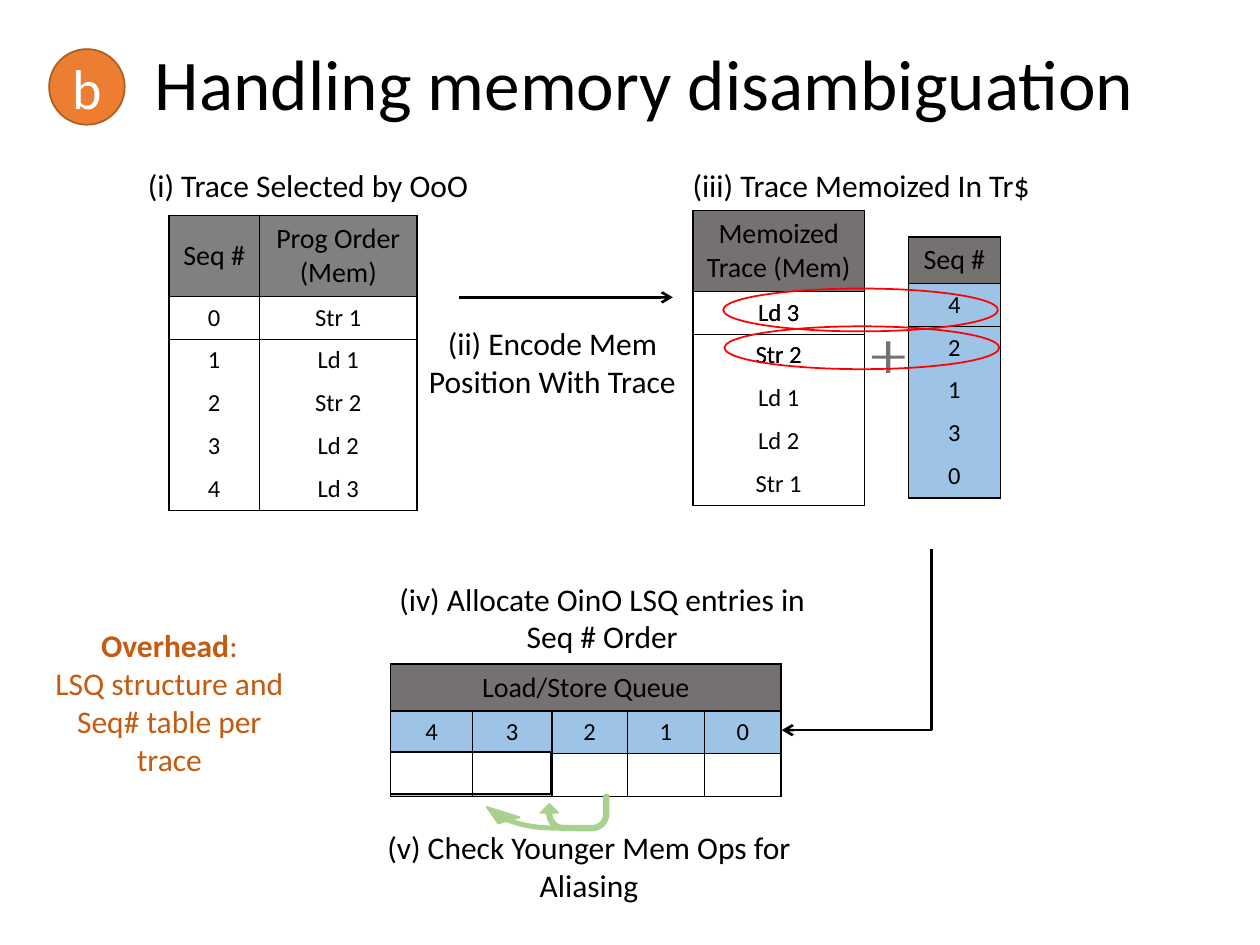
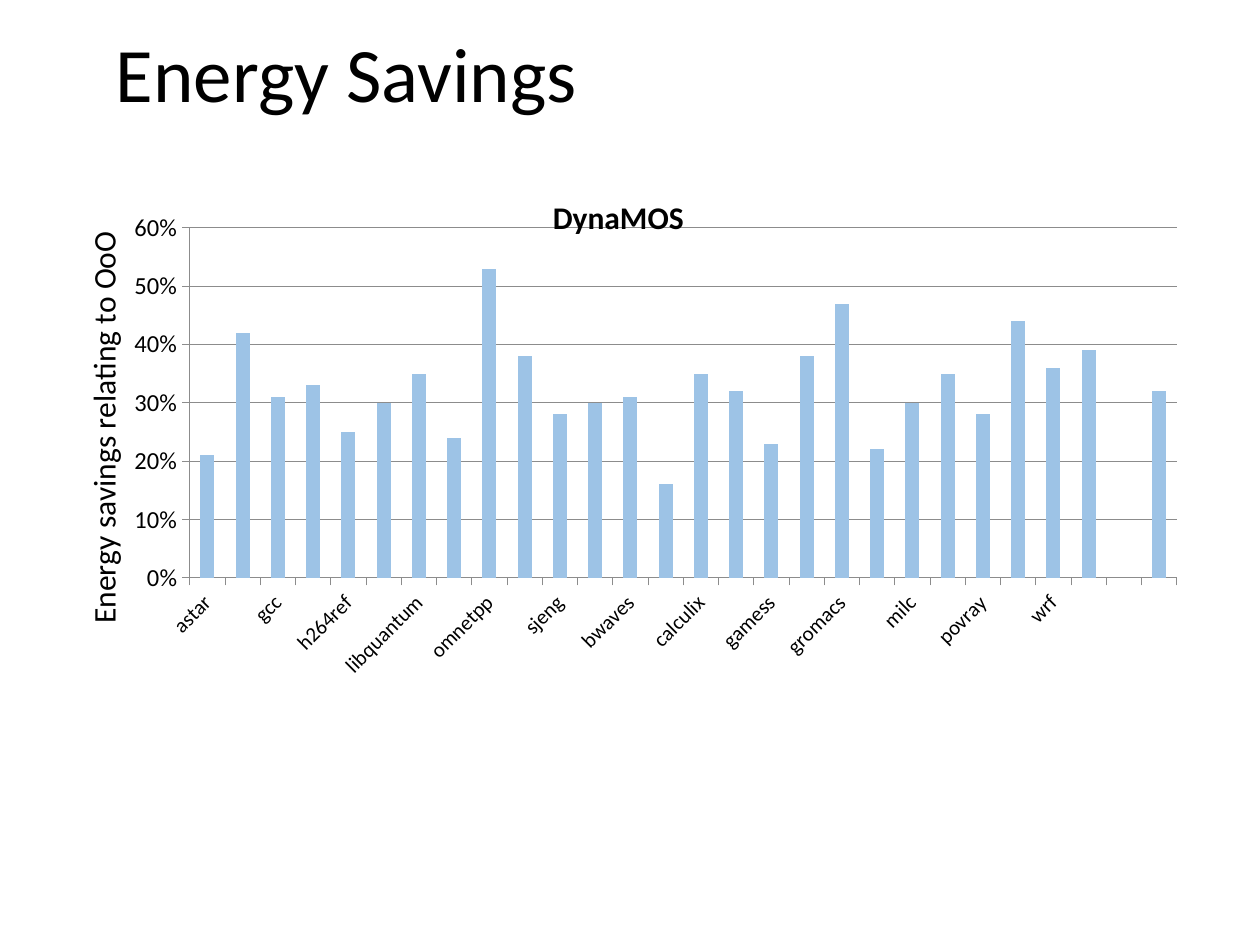
from lxml import etree
from pptx import Presentation
from pptx.chart.data import CategoryChartData
from pptx.dml.color import RGBColor
from pptx.enum.chart import XL_CHART_TYPE, XL_TICK_MARK
from pptx.enum.shapes import MSO_CONNECTOR, MSO_SHAPE
from pptx.enum.text import MSO_ANCHOR, MSO_AUTO_SIZE, PP_ALIGN
from pptx.oxml.ns import qn
from pptx.util import Inches, Pt

LEFT, CENTER = PP_ALIGN.LEFT, PP_ALIGN.CENTER
TOP, MIDDLE = MSO_ANCHOR.TOP, MSO_ANCHOR.MIDDLE
ELLIPSE, RECTANGLE = MSO_SHAPE.OVAL, MSO_SHAPE.RECTANGLE
OUTSIDE = XL_TICK_MARK.OUTSIDE

FONT = "Calibri"
BLACK, WHITE, RED = "000000", "FFFFFF", "FF0000"
GRAY, WARM_GRAY, AXIS_GRAY = "808080", "767171", "8C8C8C"
BLUE, GREEN = "9DC3E6", "A9D18E"
ORANGE, ORANGE_EDGE, ORANGE_TEXT = "ED7D31", "AF5C24", "C55A11"
NO_STYLE = "{2D5ABB26-0587-4C30-8999-92F81FD0307C}"
BODY_ROW = 0.34

# Content: trace tables as (left, top, header height, widths, header fill, body fill, rows)
TRACE_TABLES = [
    (1.34, 1.71, 0.64, [0.72, 1.25], GRAY, None,
     [["Seq #", "Prog Order\n(Mem)"], ["0", "Str 1"], ["1", "Ld 1"],
      ["2", "Str 2"], ["3", "Ld 2"], ["4", "Ld 3"]]),
    (5.5, 1.67, 0.64, [1.36], WARM_GRAY, None,
     [["Memoized Trace (Mem)"], ["Ld 3"], ["Str 2"], ["Ld 1"], ["Ld 2"], ["Str 1"]]),
    (7.21, 1.88, 0.37, [0.73], WARM_GRAY, BLUE,
     [["Seq #"], ["4"], ["2"], ["1"], ["3"], ["0"]]),
]
QUEUE_WIDTHS = [0.65, 0.63, 0.6, 0.61, 0.61]
QUEUE_ROWS = [["Load/Store Queue", "", "", "", ""], ["4", "3", "2", "1", "0"], [""] * 5]

STEP_LABELS = [
    ((0.96, 1.27, 2.97, 0.4), "(i) Trace Selected by OoO"),
    ((3.27, 2.52, 2.23, 0.71), "(ii) Encode Mem Position With Trace"),
    ((5.24, 1.27, 3.19, 0.4), "(iii) Trace Memoized In Tr$"),
    ((2.72, 4.55, 4.12, 0.71), "(iv) Allocate OinO LSQ entries in\nSeq # Order"),
    ((2.83, 6.52, 3.69, 0.71), "(v) Check Younger Mem Ops for Aliasing"),
]
REORDERED = [((5.92, 2.31, 0.53, 0.34), "Ld 3"), ((5.9, 2.64, 0.57, 0.34), "Str 2")]
HIGHLIGHTS = [(5.74, 2.29, 2.18, 0.34), (5.75, 2.59, 2.18, 0.34)]
QUEUE_COVERS = [(3.75, 5.97, 0.62, 0.33), (3.1, 5.97, 0.65, 0.33)]

SAVINGS = [
    ("astar", 0.21), ("bzip2", 0.42), ("gcc", 0.31), ("gobmk", 0.33),
    ("h264ref", 0.25), ("hmmer", 0.3), ("libquantum", 0.35), ("mcf", 0.24),
    ("omnetpp", 0.53), ("perlbench", 0.38), ("sjeng", 0.28), ("xalancbmk", 0.3),
    ("bwaves", 0.31), ("cactusADM", 0.16), ("calculix", 0.35), ("dealII", 0.32),
    ("gamess", 0.23), ("GemsFDTD", 0.38), ("gromacs", 0.47), ("leslie3d", 0.22),
    ("milc", 0.3), ("namd", 0.35), ("povray", 0.28), ("tonto", 0.44),
    ("wrf", 0.36), ("zeusmp", 0.39), ("", None), ("average", 0.32),
]


# Shared helpers
def color(value):
    return RGBColor.from_string(value)


def inches(values):
    return [Inches(value) for value in values]


def format_font(font, size, text_color=BLACK, bold=False):
    font.name, font.size, font.bold = FONT, Pt(size), bold
    font.color.rgb = color(text_color)


def write(frame, text, size=18, text_color=BLACK, align=CENTER, anchor=TOP,
          wrap=True, bold_start=""):
    """Write one paragraph per line; bold_start opens the first one in bold."""
    frame.word_wrap, frame.vertical_anchor = wrap, anchor
    for number, line in enumerate(text.split("\n")):
        paragraph = frame.add_paragraph() if number else frame.paragraphs[0]
        paragraph.alignment = align
        runs = [(line, False)]
        if bold_start and number == 0:
            runs.insert(0, (bold_start, True))
        for run_text, bold in runs:
            run = paragraph.add_run()
            run.text = run_text
            format_font(run.font, size, text_color, bold)


def add_text(slide, box, text, **formats):
    write(slide.shapes.add_textbox(*inches(box)).text_frame, text, **formats)


def add_title_slide(presentation, text, box, size):
    slide = presentation.slides.add_slide(presentation.slide_layouts[5])
    title = slide.shapes.title
    title.left, title.top, title.width, title.height = inches(box)
    write(title.text_frame, text, size=size, align=LEFT, anchor=MIDDLE)
    title.text_frame.auto_size = MSO_AUTO_SIZE.NONE
    title.text_frame.paragraphs[0].line_spacing = 0.9
    return slide


def add_shape(slide, kind, box, fill=None, line=None, rotation=0, adjustments=()):
    shape = slide.shapes.add_shape(kind, *inches(box))
    shape.shadow.inherit = False
    shape.rotation = rotation
    for number, value in enumerate(adjustments):
        shape.adjustments[number] = value
    if fill:
        shape.fill.solid()
        shape.fill.fore_color.rgb = color(fill)
    else:
        shape.fill.background()
    if line:
        shape.line.color.rgb, shape.line.width = color(line), Pt(1)
    else:
        shape.line.fill.background()
    return shape


def add_arrow(slide, kind, start, end):
    connector = slide.shapes.add_connector(kind, *inches(start + end))
    connector.line.color.rgb, connector.line.width = color(BLACK), Pt(1.5)
    etree.SubElement(connector.line._get_or_add_ln(), qn("a:tailEnd"), type="arrow")
    etree.SubElement(connector._element.spPr, qn("a:effectLst"))
    return connector


def set_borders(cell, sides):
    properties = cell._tc.get_or_add_tcPr()
    for number, side in enumerate(sides):
        line = etree.Element(qn("a:ln" + side), w=str(Pt(1)))
        fill = etree.SubElement(line, qn("a:solidFill"))
        etree.SubElement(fill, qn("a:srgbClr"), val=BLACK)
        properties.insert(number, line)


def add_table(slide, left, top, header_height, widths, rows, fill_of, sides_of, body_anchor):
    heights = [header_height] + [BODY_ROW] * (len(rows) - 1)
    box = inches((left, top, sum(widths), sum(heights)))
    table = slide.shapes.add_table(len(rows), len(widths), *box).table
    table.first_row = table.horz_banding = False
    table._tbl.tblPr.find(qn("a:tableStyleId")).text = NO_STYLE
    for column, width in zip(table.columns, widths):
        column.width = Inches(width)
    for row_number, (row, height) in enumerate(zip(rows, heights)):
        table.rows[row_number].height = Inches(height)
        for column_number, text in enumerate(row):
            cell = table.cell(row_number, column_number)
            fill = fill_of(row_number, column_number)
            if fill:
                cell.fill.solid()
                cell.fill.fore_color.rgb = color(fill)
            else:
                cell.fill.background()
            set_borders(cell, sides_of(row_number))
            cell.vertical_anchor = body_anchor if row_number else MIDDLE
            if text:
                write_cell(cell, text, 14 if row_number else 16)
            else:
                paragraph = cell.text_frame.paragraphs[0]._p
                etree.SubElement(paragraph, qn("a:endParaRPr"), sz="1400")
    return table


def write_cell(cell, text, size):
    anchor = cell.vertical_anchor
    write(cell.text_frame, text, size=size)
    cell.vertical_anchor = anchor


def set_layout(element, index, **places):
    """Give a chart part a fixed place, in fractions of the chart."""
    old = element.find(qn("c:layout"))
    if old is not None:
        element.remove(old)
    layout = etree.Element(qn("c:layout"))
    manual = etree.SubElement(layout, qn("c:manualLayout"))
    if "w" in places:
        etree.SubElement(manual, qn("c:layoutTarget"), val="inner")
    for name in ("x", "y"):
        etree.SubElement(manual, qn(f"c:{name}Mode"), val="edge")
    for name, value in places.items():
        etree.SubElement(manual, qn("c:" + name), val=str(value))
    element.insert(index, layout)


# Slide 1: memory disambiguation
def build_disambiguation(presentation):
    slide = add_title_slide(presentation, "Handling memory disambiguation",
                            (1.13, 0.23, 8.43, 0.92), 40.7)

    # Trace tables and the load/store queue
    for left, top, header_height, widths, header_fill, body_fill, rows in TRACE_TABLES:
        last = len(rows) - 1
        add_table(slide, left, top, header_height, widths, rows,
                  lambda row, column: body_fill if row else header_fill,
                  lambda row: "LR" + "T" * (row < 2) + "B" * (row in (0, last)), TOP)

    def queue_fill(row, column):
        return (WARM_GRAY, BLUE, GREEN if column < 2 else None)[row]

    queue = add_table(slide, 3.1, 5.27, 0.37, QUEUE_WIDTHS, QUEUE_ROWS,
                      queue_fill, lambda row: "LRTB", MIDDLE)
    queue.cell(0, 0).merge(queue.cell(0, 4))

    # Aliasing check arrows
    add_shape(slide, MSO_SHAPE.U_TURN_ARROW, (4.29, 6.31, 0.54, 0.28), GREEN, GREEN,
              180, (0.129, 0.25, 0.25, 0.468, 0.75))
    add_shape(slide, MSO_SHAPE.CIRCULAR_ARROW, (3.7, 5.84, 1.38, 0.82), GREEN, GREEN,
              180, (0.032, 12.227, 194.021, 153.916, 0.108))

    # Step labels, plus sign and flow arrows
    for box, text in STEP_LABELS:
        add_text(slide, box, text)
    add_shape(slide, MSO_SHAPE.CROSS, (6.92, 2.71, 0.26, 0.25), WARM_GRAY,
              adjustments=(0.451,))
    add_arrow(slide, MSO_CONNECTOR.STRAIGHT, (3.64, 2.36), (5.34, 2.36))
    bend = add_arrow(slide, MSO_CONNECTOR.ELBOW, (6.08, 4.48), (7.52, 5.67))
    bend._element.spPr.find(qn("a:prstGeom")).set("prst", "bentConnector2")
    bend._element.spPr.find(qn("a:xfrm")).set("rot", str(90 * 60000))

    # Reordered entries, queue covers and highlights
    for box, text in REORDERED:
        add_text(slide, box, text, size=14, align=LEFT, wrap=False)
    for box in QUEUE_COVERS:
        add_shape(slide, RECTANGLE, box, WHITE, BLACK)
    badge = add_shape(slide, ELLIPSE, (0.39, 0.39, 0.6, 0.6), ORANGE, ORANGE_EDGE)
    write(badge.text_frame, "b", size=32, text_color=WHITE, anchor=MIDDLE)
    add_text(slide, (0.28, 4.92, 2.13, 1.31), ":\nLSQ structure and Seq# table per trace",
             text_color=ORANGE_TEXT, bold_start="Overhead")
    for box in HIGHLIGHTS:
        add_shape(slide, ELLIPSE, box, line=RED)


# Slide 2: energy savings chart
def build_savings(presentation):
    slide = add_title_slide(presentation, "Energy Savings", (0.82, 0.04, 8.62, 1.15), 44)
    data = CategoryChartData(number_format="0%")
    data.categories = [name for name, _ in SAVINGS]
    data.add_series("DynaMOS", [value for _, value in SAVINGS])
    chart = slide.shapes.add_chart(XL_CHART_TYPE.COLUMN_CLUSTERED,
                                   *inches((0.33, 1.27, 9.12, 4.76)), data).chart
    format_font(chart.font, 10)
    chart.has_legend = False
    set_layout(chart._chartSpace.chart.plotArea, 0, x=0.129, y=0.113, w=0.859, h=0.584)

    plot = chart.plots[0]
    plot.gap_width, plot.vary_by_categories = 150, False
    bars = plot.series[0].format.fill
    bars.solid()
    bars.fore_color.rgb = color(BLUE)

    # Axes
    values, categories = chart.value_axis, chart.category_axis
    values.minimum_scale, values.maximum_scale, values.major_unit = 0, 0.6, 0.1
    values.tick_labels.number_format = "0%"
    values.tick_labels.number_format_is_linked = False
    for axis, size in ((values, 14), (categories, 12)):
        axis.major_tick_mark = OUTSIDE
        format_font(axis.tick_labels.font, size)
    for part in (values, categories, values.major_gridlines):
        part.format.line.color.rgb = color(AXIS_GRAY)
        part.format.line.width = Pt(0.5)
    label_body = categories._element.find(qn("c:txPr")).find(qn("a:bodyPr"))
    label_body.set("rot", str(-45 * 60000))

    # Titles
    chart.has_title = values.has_title = True
    for title, text, bold, x, y in (
            (chart.chart_title, "DynaMOS", True, 0.44, 0.05),
            (values.axis_title, "Energy savings relating to OoO", False, 0.03, 0.11)):
        run = title.text_frame.paragraphs[0].add_run()
        run.text = text
        format_font(run.font, 18, bold=bold)
        set_layout(title._element, 1, x=x, y=y)
    values.axis_title.text_frame._txBody.bodyPr.set("rot", str(-90 * 60000))


def main():
    presentation = Presentation()
    presentation.slide_width, presentation.slide_height = Inches(10), Inches(7.5)
    build_disambiguation(presentation)
    build_savings(presentation)
    presentation.save("out.pptx")


if __name__ == "__main__":
    main()
